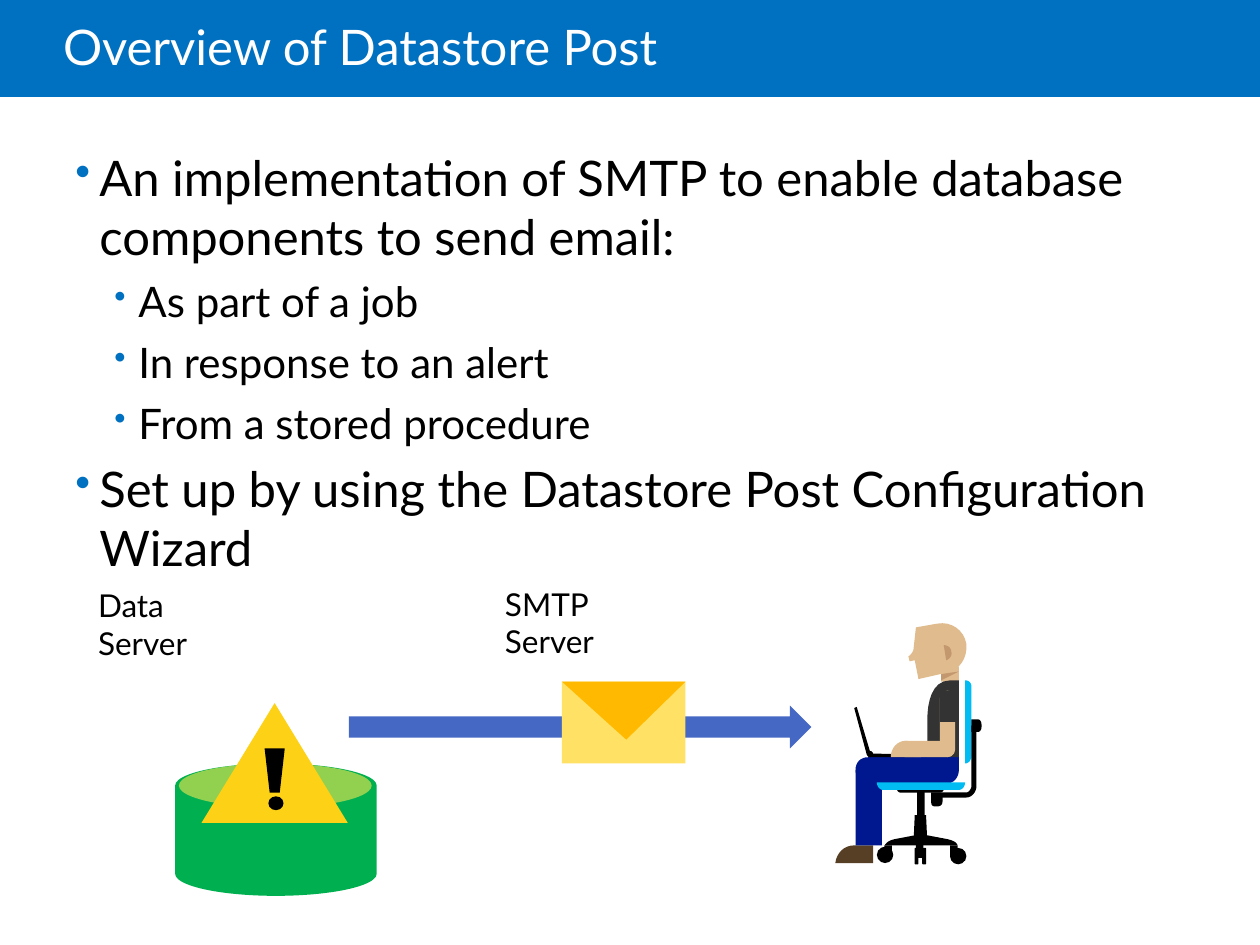
"""Build the Datastore Post overview slide."""
from dataclasses import dataclass

from lxml import etree
from pptx import Presentation
from pptx import util as u
from pptx.dml.color import RGBColor
from pptx.enum import shapes, text
from pptx.oxml.ns import qn

FONT = "Lato"
BLUE, WHITE, BLACK = "0070C0", "FFFFFF", "000000"
SKIN, SHADE, NAVY, SHIRT = "E0BB8D", "C3986F", "00188F", "333333"
SHOE, CYAN, GREEN, LIME = "563F25", "00BCF2", "00B050", "92D050"
YELLOW, ARROW, PAPER, FLAP = "FCD116", "4668C5", "FFE265", "FFB900"
KIND = shapes.MSO_SHAPE
CURVE_STEPS = 8


@dataclass
class Preset:
    """A preset shape with its left, top, width and height in grid units."""
    kind: KIND
    at: tuple
    color: str
    turn: float = 0
    adjust: float | None = None


@dataclass
class Outline:
    """A closed outline: pairs are corners, six numbers are a Bezier curve."""
    color: str
    steps: list


@dataclass
class Bullet:
    """One bulleted line."""
    words: str
    level: int = 0


@dataclass
class Label:
    """A caption with its left and top."""
    words: str
    left: float
    top: float


BULLETS = [
    Bullet("An implementation of SMTP to enable database components to send email:"),
    Bullet("As part of a job", 1),
    Bullet("In response to an alert", 1),
    Bullet("From a stored procedure", 1),
    Bullet("Set up by using the Datastore Post Configuration Wizard"),
]
LABELS = [Label("Data Server", 0.68, 4.6), Label("SMTP Server", 3.91, 4.59)]

MAIL_ARROW = [Preset(KIND.RIGHT_ARROW, (2.77, 5.6, 3.67, 0.34), ARROW)]
BODY = [
    Preset(KIND.RECTANGLE, (7.47, 5.29, 0.14, 0.12), SKIN),
    Outline(SHADE, [(7.47, 5.35), (7.61, 5.33), (7.47, 5.4)]),
    Outline(SKIN, [(7.67, 5.11), (7.65, 5, 7.55, 4.93, 7.44, 4.95), (7.27, 4.98),
                   (7.25, 5.16), (7.24, 5.18, 7.23, 5.2, 7.21, 5.21), (7.22, 5.25),
                   (7.26, 5.24), (7.29, 5.39), (7.51, 5.34),
                   (7.62, 5.32, 7.68, 5.22, 7.67, 5.11)]),
    Outline(SHADE, [(7.49, 5.12), (7.51, 5.24), (7.54, 5.23, 7.56, 5.2, 7.55, 5.17),
                    (7.55, 5.14, 7.52, 5.12, 7.49, 5.12)]),
    Outline(NAVY, [(6.89, 6.01), (6.83, 6.01, 6.79, 6.05, 6.79, 6.11),
                   (6.79, 6.17, 6.83, 6.22, 6.89, 6.22), (7.51, 6.22),
                   (7.57, 6.22, 7.61, 6.17, 7.61, 6.11), (7.61, 6.01)]),
    Outline(SHIRT, [(7.54, 5.4), (7.39, 5.4, 7.36, 5.59, 7.36, 5.71),
                    (7.36, 6.01), (7.61, 6.01), (7.61, 5.4)]),
    Outline(SHOE, [(6.78, 6.71), (6.7, 6.71, 6.64, 6.77, 6.63, 6.85),
                   (6.93, 6.85), (6.93, 6.71)]),
    Preset(KIND.RECTANGLE, (6.79, 6.11, 0.21, 0.6), NAVY),
]
CHAIR = [
    Outline(BLACK, [(7.25, 6.69), (7.36, 6.69), (7.35, 6.47), (7.26, 6.47)]),
    Preset(KIND.RECTANGLE, (7.28, 6.28, 0.06, 0.22), BLACK),
    *[Preset(KIND.OVAL, (left, top, 0.13, 0.13), BLACK)
      for left, top in ((7.54, 6.73), (6.96, 6.72))],
    Outline(BLACK, [(7.02, 6.71), (7.04, 6.68, 7.06, 6.67, 7.1, 6.66), (7.31, 6.62),
                    (7.52, 6.66), (7.56, 6.67, 7.59, 6.68, 7.6, 6.71)]),
    *[Preset(KIND.RECTANGLE, (left, 6.71, 0.06, 0.08), BLACK) for left in (7.54, 7.02)],
    *[Preset(KIND.ROUNDED_RECTANGLE, (left, 6.73, 0.03, 0.13), BLACK)
      for left in (7.32, 7.26)],
    Preset(KIND.RECTANGLE, (7.27, 6.63, 0.06, 0.18), BLACK),
    Preset(KIND.ROUNDED_RECTANGLE, (7.12, 6.24, 0.37, 0.05), BLACK, adjust=0.5),
    Outline(CYAN, [(7.66, 6.21), (7.66, 6.24, 7.64, 6.27, 7.61, 6.27), (7.01, 6.27),
                   (6.98, 6.27, 6.96, 6.24, 6.96, 6.21)]),
    Outline(CYAN, [(7.66, 5.4), (7.69, 5.4, 7.71, 5.42, 7.71, 5.45), (7.71, 6),
                   (7.71, 6.03, 7.69, 6.06, 7.66, 6.06)]),
    Outline(BLACK, [(7.39, 6.33), (7.67, 6.33), (7.71, 6.33, 7.75, 6.29, 7.75, 6.24),
                    (7.75, 5.76), (7.71, 5.76), (7.71, 6.24),
                    (7.71, 6.26, 7.69, 6.29, 7.67, 6.29), (7.39, 6.29)]),
    Outline(BLACK, [(7.48, 6.32), (7.48, 6.36), (7.48, 6.39, 7.46, 6.4, 7.44, 6.4),
                    (7.42, 6.4), (7.4, 6.4, 7.39, 6.39, 7.39, 6.36), (7.39, 6.32)]),
    Outline(BLACK, [(7.71, 5.71), (7.76, 5.71), (7.78, 5.71, 7.79, 5.73, 7.79, 5.75),
                    (7.79, 5.77), (7.79, 5.79, 7.78, 5.81, 7.76, 5.81), (7.71, 5.81)]),
]
LAPTOP = [
    Outline(BLACK, [(6.9, 5.98), (7.26, 5.99), (7.26, 6.01), (6.9, 6.01)]),
    Outline(BLACK, [(6.88, 5.99), (6.78, 5.62), (6.8, 5.61), (6.91, 5.98)]),
    Preset(KIND.OVAL, (6.88, 5.96, 0.05, 0.05), BLACK),
]
ARM = [
    Preset(KIND.ROUNDED_RECTANGLE, (7.46, 5.48, 0.12, 0.53), SKIN, adjust=0.5),
    Preset(KIND.ROUNDED_RECTANGLE, (7.12, 5.88, 0.46, 0.13), SKIN, adjust=0.5),
    Outline(SKIN, [(7.31, 6.01), (7.07, 6.01), (7.07, 5.94, 7.12, 5.88, 7.19, 5.88),
                   (7.25, 5.88, 7.31, 5.94, 7.31, 6.01)]),
    Preset(KIND.RECTANGLE, (7.46, 5.48, 0.15, 0.25), SHIRT),
]
DATABASE = [
    Preset(KIND.FLOWCHART_MAGNETIC_DISK, (1.39, 6.06, 1.6, 1.05), GREEN),
    Preset(KIND.OVAL, (1.42, 6.06, 1.53, 0.35), LIME),
    Preset(KIND.ISOSCELES_TRIANGLE, (1.6, 5.58, 1.16, 0.95), YELLOW),
    Preset(KIND.TRAPEZOID, (2.1, 5.94, 0.16, 0.35), BLACK, turn=180),
    Preset(KIND.OVAL, (2.13, 6.32, 0.12, 0.11), BLACK),
]
ENVELOPE = [
    Preset(KIND.RECTANGLE, (4.46, 5.41, 0.98, 0.65), PAPER),
    Preset(KIND.ISOSCELES_TRIANGLE, (4.46, 5.41, 0.98, 0.46), FLAP, turn=180, adjust=0.48),
]


def grid(value: float) -> u.Length:
    """Turn grid units of 2.54 cm into a length."""
    return u.Cm(value * 2.54)


def rgb(color: str) -> RGBColor:
    """Turn a hex string into a colour."""
    return RGBColor.from_string(color)


def trace(steps: list) -> list:
    """Return the corner points of an outline, with its curves sampled."""
    points = []
    for step in steps:
        if len(step) == 2:
            points.append(step)
            continue
        knots = (points[-1], step[:2], step[2:4], step[4:])
        for i in range(1, CURVE_STEPS + 1):
            t = i / CURVE_STEPS
            weights = ((1 - t) ** 3, 3 * t * (1 - t) ** 2, 3 * t * t * (1 - t), t ** 3)
            points.append(tuple(sum(w * knot[axis] for w, knot in zip(weights, knots))
                                for axis in (0, 1)))
    return points


def draw(canvas, part: Preset | Outline):
    """Draw one flat shape and return it."""
    if isinstance(part, Preset):
        shape = canvas.add_shape(part.kind, *map(grid, part.at))
        shape.rotation = part.turn
        if part.adjust is not None:
            shape.adjustments[0] = part.adjust
    else:
        start, *rest = [(grid(x), grid(y)) for x, y in trace(part.steps)]
        builder = canvas.build_freeform(*start)
        builder.add_line_segments(rest, close=True)
        shape = builder.convert_to_shape()
    shape.shadow.inherit = False
    shape.fill.solid()
    shape.fill.fore_color.rgb = rgb(part.color)
    shape.line.fill.background()
    return shape


def style(para, size: float, color: str = BLACK) -> None:
    """Set the font of a paragraph."""
    para.font.name, para.font.size = FONT, u.Pt(size)
    para.font.color.rgb = rgb(color)


def add_title(page) -> None:
    """Fill the title over its blue band."""
    title = page.shapes.title
    band = draw(page.shapes, Preset(KIND.RECTANGLE, (0, 0, 10, 0.77), BLUE))
    title.element.addprevious(band.element)
    title.left, title.top, title.width, title.height = map(grid, (0.5, 0, 8.5, 0.81))
    frame = title.text_frame
    frame.text = "Overview of Datastore Post"
    frame.auto_size = text.MSO_AUTO_SIZE.NONE
    frame.vertical_anchor = text.MSO_ANCHOR.MIDDLE
    frame.margin_left = 0
    para = frame.paragraphs[0]
    para.alignment, para.line_spacing = text.PP_ALIGN.LEFT, 0.85
    style(para, 28, WHITE)


def add_bullets(page) -> None:
    """Write the bulleted list."""
    frame = page.shapes.add_textbox(*map(grid, (0.5, 1.12, 8.88, 5.63))).text_frame
    frame.word_wrap = True
    for i, item in enumerate(BULLETS):
        para = frame.add_paragraph() if i else frame.paragraphs[0]
        para.text, para.level = item.words, item.level
        props = para._p.get_or_add_pPr()
        props.set("marL", str(grid((0.19, 0.5)[item.level])))
        props.set("indent", str(grid(-0.19)))
        color = etree.SubElement(props, qn("a:buClr"))
        etree.SubElement(color, qn("a:srgbClr"), val=BLUE)
        etree.SubElement(props, qn("a:buSzPct"), val=("90000", "80000")[item.level])
        etree.SubElement(props, qn("a:buChar"), char="•")
        para.space_before = u.Pt(6 if i else 0)
        style(para, (28, 24)[item.level])


def add_label(page, label: Label) -> None:
    """Write a two-line caption."""
    box = page.shapes.add_textbox(*map(grid, (label.left, label.top, 1.1, 0.7)))
    box.text_frame.word_wrap = True
    box.text_frame.text = label.words
    style(box.text_frame.paragraphs[0], 18)


def main() -> None:
    """Build and save the deck."""
    deck = Presentation()
    deck.slide_width, deck.slide_height = grid(10), grid(7.5)
    page = deck.slides.add_slide(deck.slide_layouts[5])
    add_title(page)
    add_bullets(page)
    for parts in (MAIL_ARROW, BODY + CHAIR + LAPTOP + ARM, DATABASE, ENVELOPE):
        canvas = page.shapes.add_group_shape().shapes if len(parts) > 1 else page.shapes
        for part in parts:
            draw(canvas, part)
    for label in LABELS:
        add_label(page, label)
    deck.save("out.pptx")


if __name__ == "__main__":
    main()
